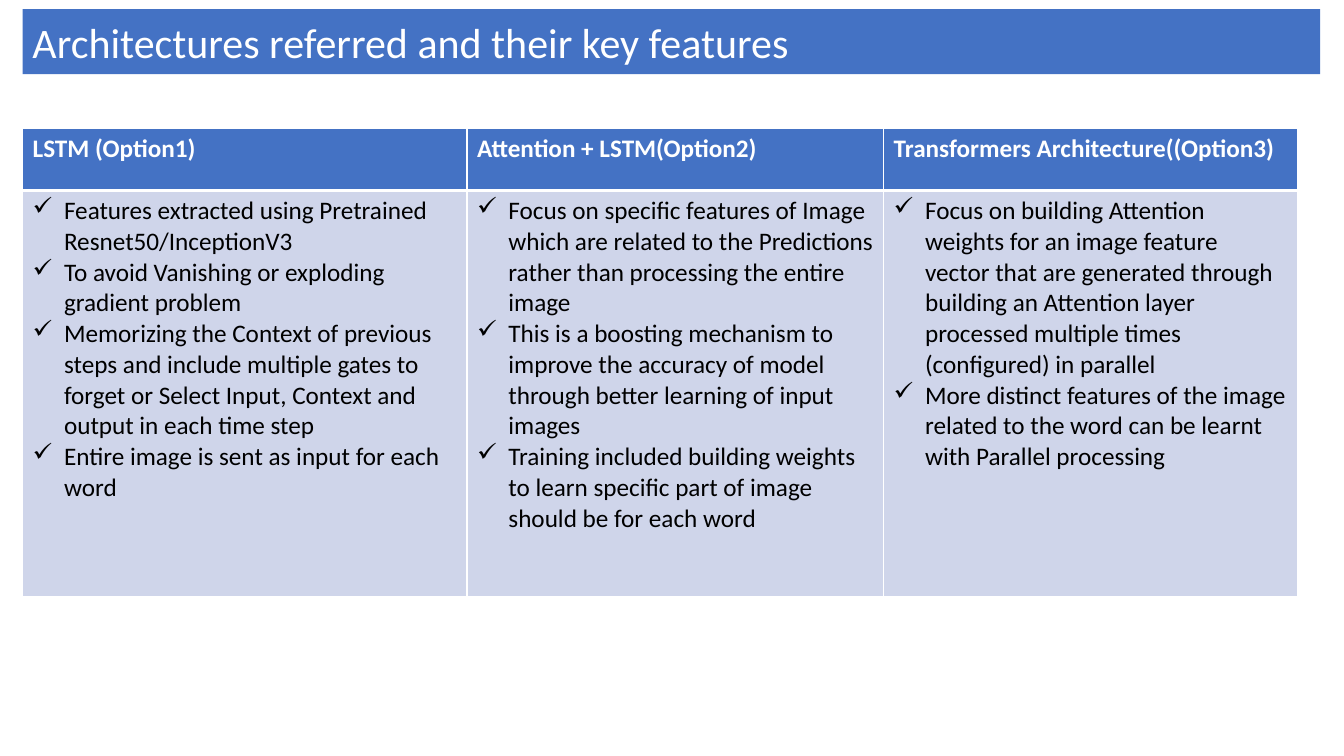
"""Build a slide comparing three image captioning architectures."""
import pptx
import pptx.dml.color
import pptx.enum.shapes
import pptx.enum.text
import pptx.oxml.ns
import pptx.util
import lxml.etree
from pptx.util import Cm

BLUE, PALE_BLUE, WHITE, BLACK = "4472C4", "CFD5EA", "FFFFFF", "000000"
INDENT = Cm(0.79)


def color(hex_string):
    return pptx.dml.color.RGBColor.from_string(hex_string)


def style_paragraph(paragraph, size, hex_string, bold=False):
    paragraph.alignment = pptx.enum.text.PP_ALIGN.LEFT
    for run in paragraph.runs:
        run.font.name = "Calibri"
        run.font.size = pptx.util.Pt(size)
        run.font.bold = bold
        run.font.color.rgb = color(hex_string)


architectures = [
    ("LSTM (Option1)", Cm(11.2), [
        "Features extracted using Pretrained Resnet50/InceptionV3",
        "To avoid Vanishing or exploding gradient problem",
        "Memorizing the Context of previous steps and include multiple gates to "
        "forget or Select Input, Context and output in each time step",
        "Entire image is sent as input for each word",
    ]),
    ("Attention + LSTM(Option2)", Cm(10.5), [
        "Focus on specific features of Image which are related to the Predictions "
        "rather than processing the entire image",
        "This is a boosting mechanism to improve the accuracy of model through "
        "better learning of input images",
        "Training included building weights to learn specific part of image "
        "should be for each word",
    ]),
    ("Transformers Architecture((Option3)", Cm(10.43), [
        "Focus on building Attention weights for an image feature vector that are "
        "generated through building an Attention layer processed multiple times "
        "(configured) in parallel",
        "More distinct features of the image related to the word can be learnt "
        "with Parallel processing",
    ]),
]

presentation = pptx.Presentation()
presentation.slide_width = Cm(33.87)
presentation.slide_height = Cm(19.05)
slide = presentation.slides.add_slide(presentation.slide_layouts[6])

title = slide.shapes.add_shape(
    pptx.enum.shapes.MSO_SHAPE.RECTANGLE, Cm(0.57), Cm(0.23), Cm(32.7), Cm(1.64))
title.shadow.inherit = False
title.fill.solid()
title.fill.fore_color.rgb = color(BLUE)
title.line.fill.background()
title.text_frame.text = "Architectures referred and their key features"
title.text_frame.vertical_anchor = pptx.enum.text.MSO_ANCHOR.MIDDLE
style_paragraph(title.text_frame.paragraphs[0], 30, WHITE)

table = slide.shapes.add_table(
    2, len(architectures), Cm(0.57), Cm(3.23), Cm(32.13), Cm(11.81)).table
table.rows[0].height = Cm(1.57)
table.rows[1].height = Cm(10.24)

for column, (heading, width, features) in enumerate(architectures):
    table.columns[column].width = width
    header, body = table.cell(0, column), table.cell(1, column)

    for cell, fill, thick_side in ((header, BLUE, "lnB"), (body, PALE_BLUE, "lnT")):
        properties = cell._tc.get_or_add_tcPr()
        for side in ("lnL", "lnR", "lnT", "lnB"):
            border = lxml.etree.SubElement(properties, pptx.oxml.ns.qn("a:" + side))
            border.set("w", str(pptx.util.Pt(3 if side == thick_side else 1)))
            line_fill = lxml.etree.SubElement(border, pptx.oxml.ns.qn("a:solidFill"))
            lxml.etree.SubElement(line_fill, pptx.oxml.ns.qn("a:srgbClr")).set("val", WHITE)
        cell.fill.solid()
        cell.fill.fore_color.rgb = color(fill)

    header.text_frame.text = heading
    style_paragraph(header.text_frame.paragraphs[0], 18, WHITE, bold=True)

    body.text_frame.text = "\n".join(features)
    for paragraph in body.text_frame.paragraphs:
        properties = paragraph._p.get_or_add_pPr()
        properties.set("marL", str(INDENT))
        properties.set("indent", str(-INDENT))
        lxml.etree.SubElement(properties, pptx.oxml.ns.qn("a:buChar")).set("char", "✓")
        style_paragraph(paragraph, 18, BLACK)

presentation.save("out.pptx")
